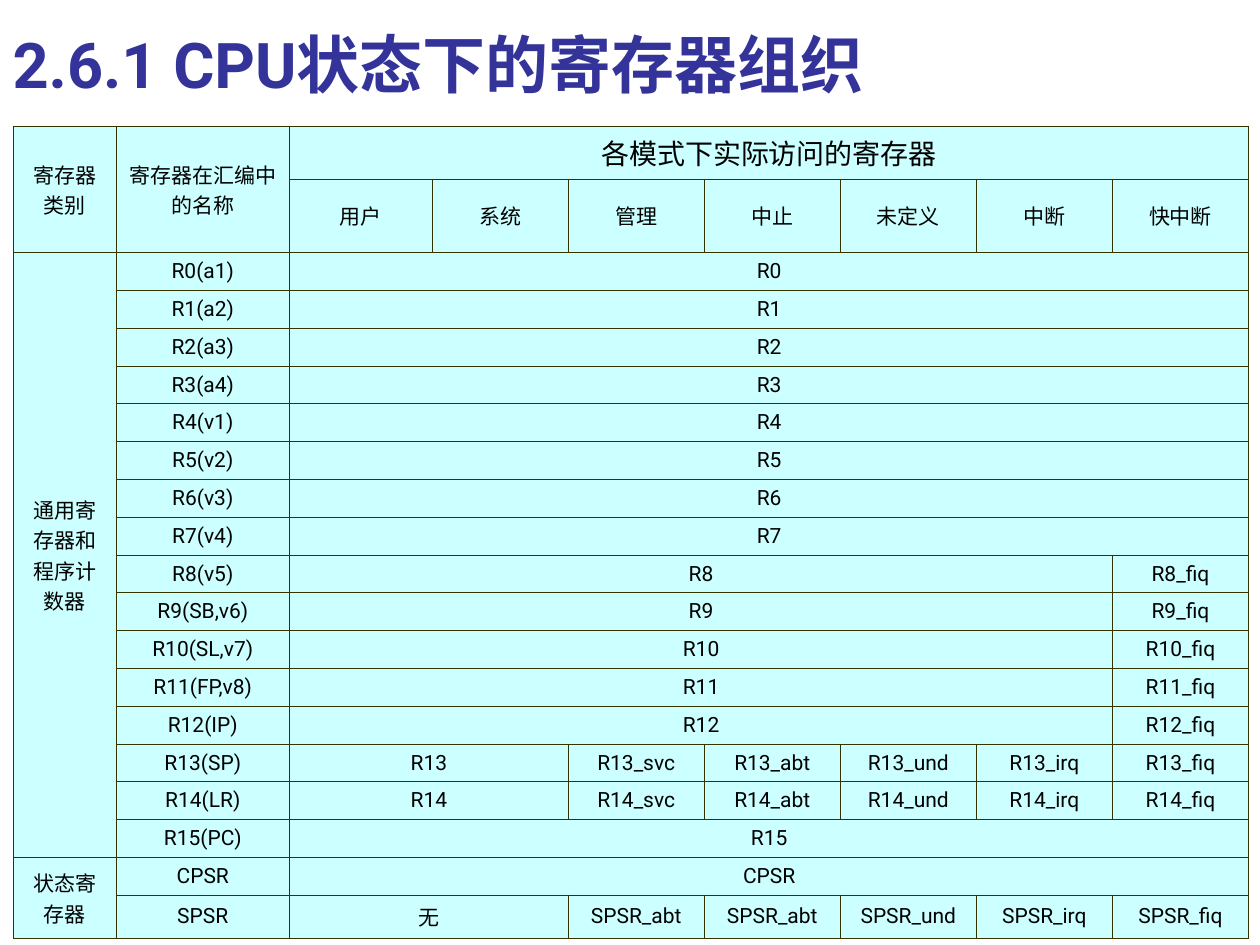
from lxml.etree import SubElement
from pptx import Presentation
from pptx.dml.color import RGBColor
from pptx.enum.text import MSO_ANCHOR, MSO_AUTO_SIZE, PP_ALIGN
from pptx.oxml.ns import qn
from pptx.util import Inches, Pt

NAVY = RGBColor(0x33, 0x33, 0x99)
CYAN = RGBColor(0xCC, 0xFF, 0xFF)
OLIVE = RGBColor(0x33, 0x33, 0x00)
BLACK = RGBColor(0, 0, 0)
FONT = "Roboto"

WIDTHS = [0.81, 1.38, 1.13] + [1.08] * 6
HEIGHTS = [0.37, 0.5] + [0.3] * 18
MODES = ["用户", "系统", "管理", "中止", "未定义", "中断", "快中断"]
BANKS = ["svc", "abt", "und", "irq", "fiq"]
ALIAS = ["a1", "a2", "a3", "a4", "v1", "v2", "v3", "v4", "v5", "SB,v6",
         "SL,v7", "FP,v8", "IP", "SP", "LR", "PC"]
GROUPS = [(0, 0, 2, "寄存器类别"), (0, 1, 2, "寄存器在汇编中的名称"),
          (2, 0, 16, "通用寄存器和程序计数器"), (18, 0, 2, "状态寄存器")]


def access(num):
    """Return (text, span) pairs for the modes that reach a register."""
    reg = f"R{num}"
    if num in (13, 14):
        return [(reg, 2)] + [(f"{reg}_{bank}", 1) for bank in BANKS]
    if 8 <= num <= 12:
        return [(reg, 6), (f"{reg}_fiq", 1)]
    return [(reg, 7)]


def add_title(slide, text):
    """Place and format the title."""
    title = slide.shapes.title
    title.left, title.top = Inches(0), Inches(0)
    title.width, title.height = Inches(8.52), Inches(1)
    frame = title.text_frame
    frame.text = text
    frame.auto_size = MSO_AUTO_SIZE.NONE
    frame.vertical_anchor = MSO_ANCHOR.MIDDLE
    para = frame.paragraphs[0]
    para.alignment = PP_ALIGN.LEFT
    para.font.name, para.font.size, para.font.bold = FONT, Pt(36), True
    para.font.color.rgb = NAVY


def add_grid(slide):
    """Add the empty table with its fills and borders."""
    frame = slide.shapes.add_table(len(HEIGHTS), len(WIDTHS), Inches(0.11), Inches(1),
                                   Inches(sum(WIDTHS)), Inches(sum(HEIGHTS)))
    table = frame.table
    table.first_row = table.horz_banding = False
    for col, width in zip(table.columns, WIDTHS):
        col.width = Inches(width)
    for row, height in zip(table.rows, HEIGHTS):
        row.height = Inches(height)
    for cell in table.iter_cells():
        style_cell(cell)
    return table


def style_cell(cell):
    """Draw the four borders and fill a cell."""
    props = cell._tc.get_or_add_tcPr()
    for side in ("a:lnL", "a:lnR", "a:lnT", "a:lnB"):
        line = SubElement(props, qn(side), w=str(Pt(0.45)))
        fill = SubElement(line, qn("a:solidFill"))
        SubElement(fill, qn("a:srgbClr"), val=str(OLIVE))
    cell.fill.solid()
    cell.fill.fore_color.rgb = CYAN
    cell.vertical_anchor = MSO_ANCHOR.MIDDLE
    set_font(cell, 12)


def set_font(cell, size):
    """Centre a cell's text and set its font."""
    para = cell.text_frame.paragraphs[0]
    para.alignment = PP_ALIGN.CENTER
    para.font.name, para.font.size = FONT, Pt(size)
    para.font.color.rgb = BLACK


def put(table, row, col, text, down=1, across=1, size=12):
    """Write text in a cell, merged over the given span."""
    cell = table.cell(row, col)
    if down * across > 1:
        cell.merge(table.cell(row + down - 1, col + across - 1))
    cell.text = text
    set_font(cell, size)


def put_row(table, row, name, pairs):
    """Write a register name and what each mode accesses."""
    put(table, row, 1, name)
    col = 2
    for text, span in pairs:
        put(table, row, col, text, across=span)
        col += span


def main():
    """Build the slide."""
    deck = Presentation()
    deck.slide_width, deck.slide_height = Inches(10), Inches(7.5)
    slide = deck.slides.add_slide(deck.slide_layouts[5])
    add_title(slide, "2.6.1 CPU状态下的寄存器组织")
    table = add_grid(slide)
    for row, col, down, text in GROUPS:
        put(table, row, col, text, down=down)
    put(table, 0, 2, "各模式下实际访问的寄存器", across=7, size=16)
    for col, mode in enumerate(MODES, 2):
        put(table, 1, col, mode)
    for num, alias in enumerate(ALIAS):
        put_row(table, num + 2, f"R{num}({alias})", access(num))
    put_row(table, 18, "CPSR", [("CPSR", 7)])
    saved = [(f"SPSR_{bank}", 1) for bank in ["abt"] + BANKS[1:]]
    put_row(table, 19, "SPSR", [("无", 2)] + saved)
    deck.save("out.pptx")


if __name__ == "__main__":
    main()
